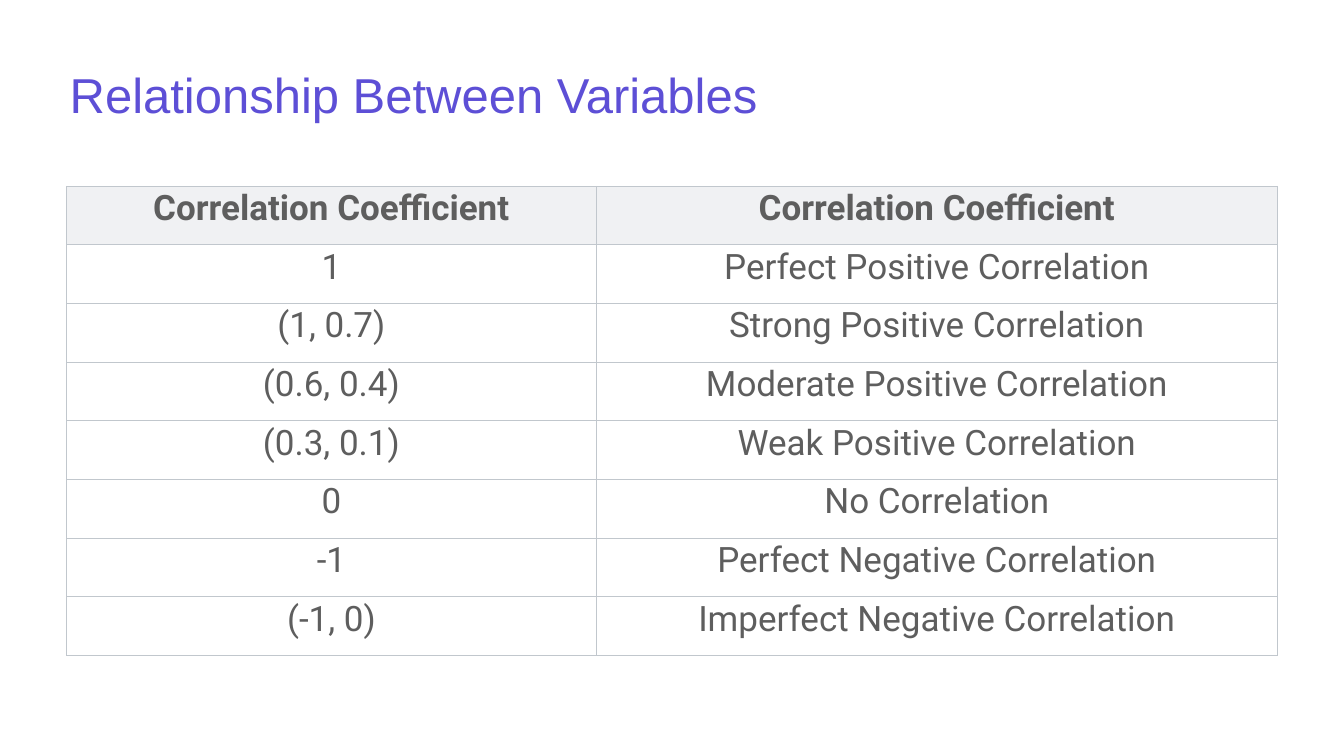
import dataclasses

import lxml.etree
import pptx
import pptx.dml.color
import pptx.enum.text
import pptx.oxml.ns
import pptx.util

Pt = pptx.util.Pt
ALIGN = pptx.enum.text.PP_ALIGN
ANCHOR = pptx.enum.text.MSO_ANCHOR

COLORS = {
    "title": "5D4FD6",
    "text": "5E5E5E",
    "header": "F0F1F3",
    "border": "C1C7CD",
}

LEFT = 95
TABLE_TOP = 265.7
ROW_HEIGHT = 83.8
COLUMN_WIDTHS = (757, 973)
BORDER_WIDTH = 0.6


@dataclasses.dataclass(frozen=True)
class Row:
    coefficient: str
    meaning: str
    header: bool = False


ROWS = [
    Row("Correlation Coefficient", "Correlation Coefficient", header=True),
    Row("1", "Perfect Positive Correlation"),
    Row("(1, 0.7)", "Strong Positive Correlation"),
    Row("(0.6, 0.4)", "Moderate Positive Correlation"),
    Row("(0.3, 0.1)", "Weak Positive Correlation"),
    Row("0", "No Correlation"),
    Row("-1", "Perfect Negative Correlation"),
    Row("(-1, 0)", "Imperfect Negative Correlation"),
]


def rgb(name: str) -> pptx.dml.color.RGBColor:
    return pptx.dml.color.RGBColor.from_string(COLORS[name])


def write(tf, text: str, *, font: str, size: float, color: str,
          bold: bool = False, align=ALIGN.LEFT) -> None:
    p = tf.paragraphs[0]
    p.alignment = align
    r = p.add_run()
    r.text = text
    r.font.name = font
    r.font.size = Pt(size)
    r.font.bold = bold
    r.font.color.rgb = rgb(color)


def add_borders(cell) -> None:
    qn = pptx.oxml.ns.qn
    pr = cell._tc.get_or_add_tcPr()
    for side in ("a:lnL", "a:lnR", "a:lnT", "a:lnB"):
        ln = lxml.etree.SubElement(pr, qn(side), w=str(Pt(BORDER_WIDTH)))
        fill = lxml.etree.SubElement(ln, qn("a:solidFill"))
        lxml.etree.SubElement(fill, qn("a:srgbClr"), val=COLORS["border"])


def format_cell(cell, text: str, header: bool) -> None:
    cell.margin_left = cell.margin_right = Pt(5)
    cell.margin_top = cell.margin_bottom = Pt(3)
    cell.vertical_anchor = ANCHOR.TOP
    add_borders(cell)
    if header:
        cell.fill.solid()
        cell.fill.fore_color.rgb = rgb("header")
    else:
        cell.fill.background()
    write(cell.text_frame, text, font="Roboto", size=50, color="text",
          bold=header, align=ALIGN.CENTER)


def add_title(s, text: str) -> None:
    sp = s.shapes.title
    sp.left, sp.top = Pt(LEFT), Pt(41)
    sp.width, sp.height = Pt(sum(COLUMN_WIDTHS)), Pt(140.4)
    tf = sp.text_frame
    tf.word_wrap = True
    tf.auto_size = pptx.enum.text.MSO_AUTO_SIZE.NONE
    tf.vertical_anchor = ANCHOR.BOTTOM
    tf.margin_left = tf.margin_right = Pt(4.5)
    tf.margin_top = tf.margin_bottom = Pt(4.5)
    write(tf, text, font="Arial", size=70, color="title")


def add_correlation_table(s, rows: list[Row]) -> None:
    table = s.shapes.add_table(
        len(rows), len(COLUMN_WIDTHS), Pt(LEFT), Pt(TABLE_TOP),
        Pt(sum(COLUMN_WIDTHS)), Pt(ROW_HEIGHT * len(rows))).table
    table.first_row = True
    table.horz_banding = False
    for column, width in zip(table.columns, COLUMN_WIDTHS):
        column.width = Pt(width)
    for i, row in enumerate(rows):
        table.rows[i].height = Pt(ROW_HEIGHT)
        for j, text in enumerate((row.coefficient, row.meaning)):
            format_cell(table.cell(i, j), text, row.header)


def main() -> None:
    prs = pptx.Presentation()
    prs.slide_width, prs.slide_height = Pt(1920), Pt(1080)
    s = prs.slides.add_slide(prs.slide_layouts[5])
    add_title(s, "Relationship Between Variables")
    add_correlation_table(s, ROWS)
    prs.save("out.pptx")


if __name__ == "__main__":
    main()
